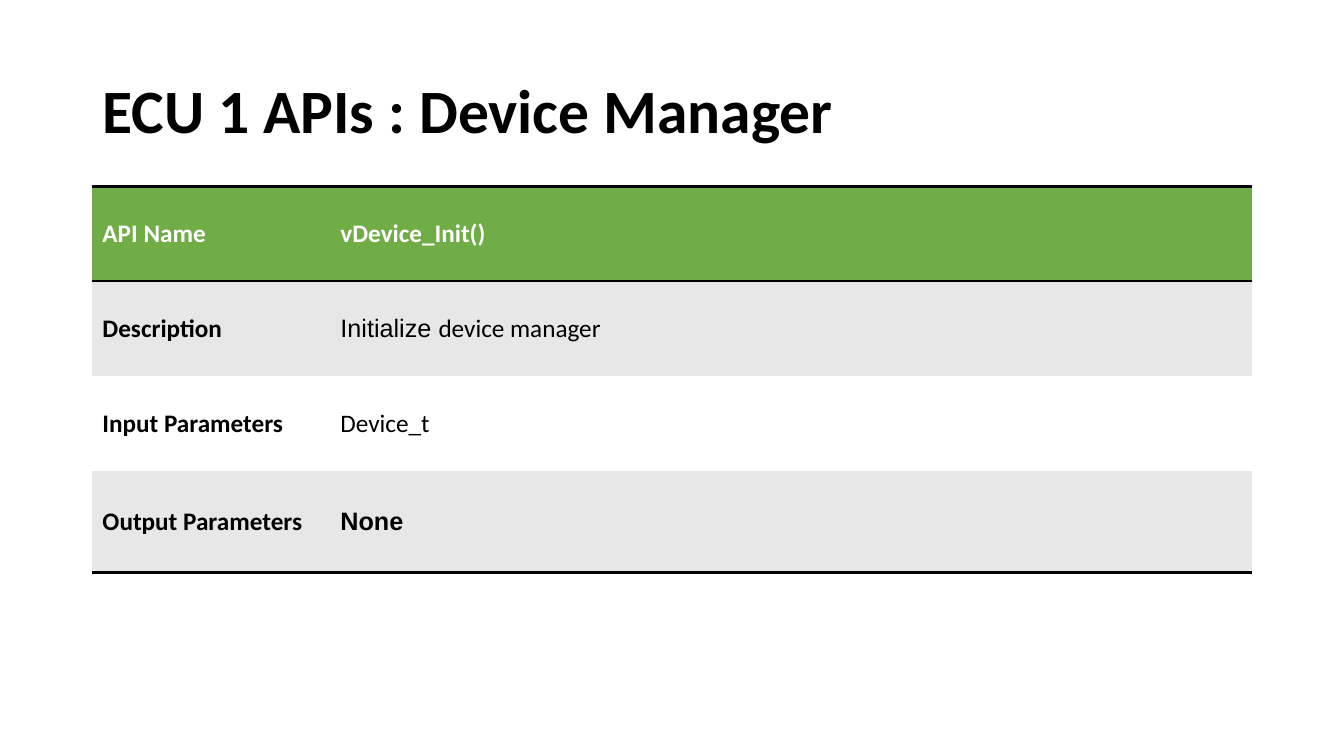
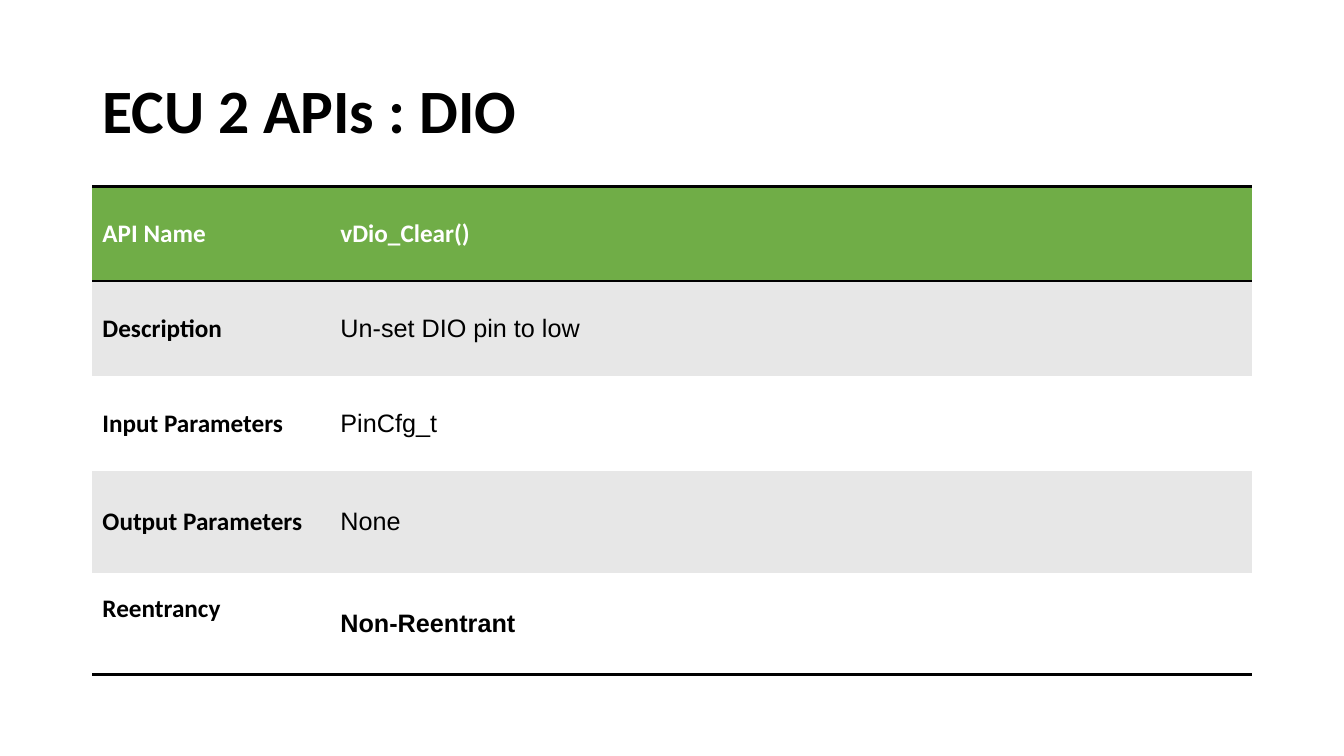
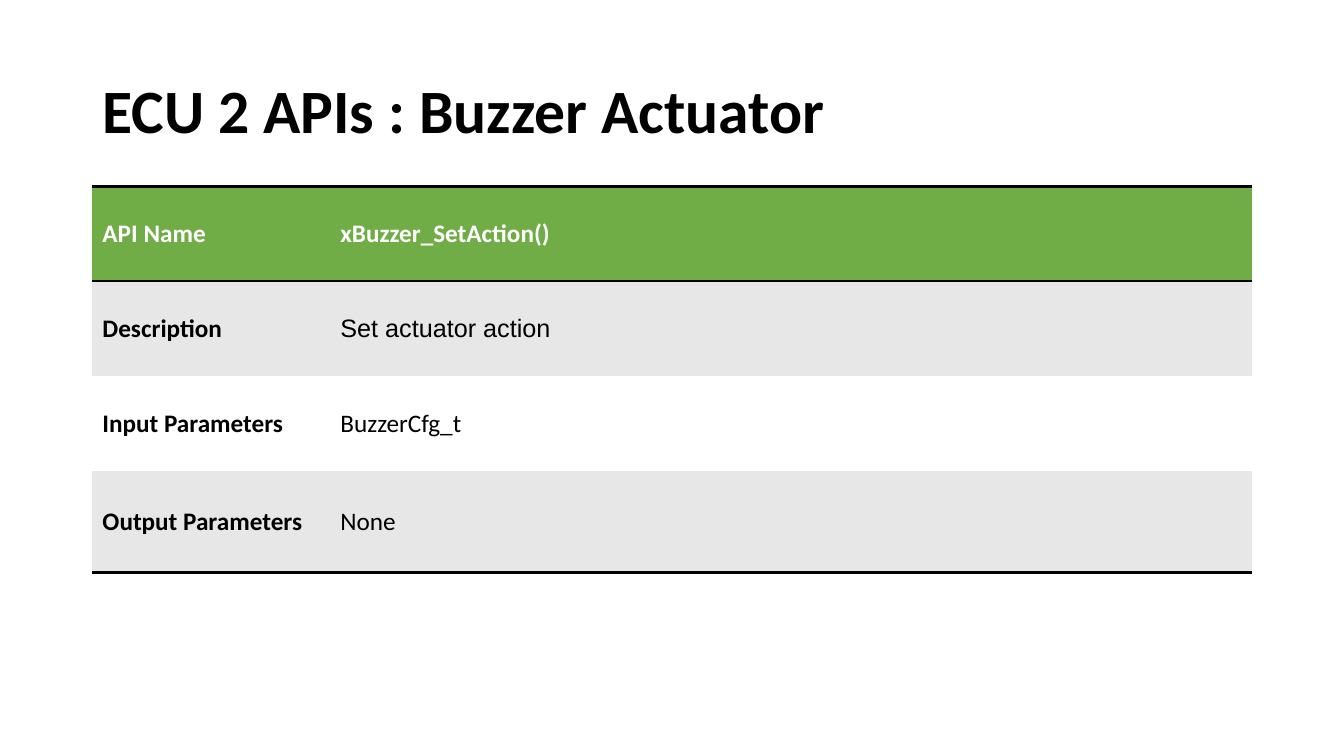
"""Build the API reference slides, one function table per slide."""
from pptx import Presentation
from pptx.dml.color import RGBColor
from pptx.enum.text import MSO_ANCHOR, MSO_AUTO_SIZE, PP_ALIGN
from pptx.oxml.ns import qn
from pptx.util import Pt
from lxml.etree import SubElement

COLORS = {"ink": "000000", "header": "70AD47", "band": "E7E7E7", "paper": "FFFFFF"}
HEADING, PLAIN = "Calibri", "Arial"
LEFT, WIDTH = 66, 828
TITLE_TOP, TABLE_TOP = 28.8, 133.2
LABEL_WIDTH = 170
ROW_HEIGHTS = [67.7, 67.7, 67.7, 72.7, 72.7]
LABELS = ["API Name", "Description", "Input Parameters", "Output Parameters", "Reentrancy"]

APIS = [
    ("ECU 1 APIs : Device Manager", [
        [("vDevice_Init()", HEADING, True)],
        [("Initialize ", PLAIN, False), ("device manager", HEADING, False)],
        [("Device_t", HEADING, False)],
        [("None", PLAIN, True)],
    ]),
    ("ECU 2 APIs : DIO", [
        [("vDio_Clear()", HEADING, True)],
        [("Un-set DIO pin to low", PLAIN, False)],
        [("PinCfg_t", PLAIN, False)],
        [("None", PLAIN, False)],
        [("Non-Reentrant", PLAIN, True)],
    ]),
    ("ECU 2 APIs : Buzzer Actuator", [
        [("xBuzzer_SetAction()", HEADING, True)],
        [("Set actuator action", PLAIN, False)],
        [("BuzzerCfg_t", HEADING, False)],
        [("None", HEADING, False)],
    ]),
]


def rgb(name):
    """Return the named palette colour."""
    return RGBColor.from_string(COLORS[name])


def style_font(font, size, face, bold, color):
    """Apply size, face, weight and colour to a font."""
    font.size, font.name, font.bold = Pt(size), face, bold
    font.color.rgb = rgb(color)


def add_title(slide, heading):
    """Place and format the slide title."""
    title = slide.shapes.title
    title.left, title.top = Pt(LEFT), Pt(TITLE_TOP)
    title.width, title.height = Pt(WIDTH), Pt(TABLE_TOP - TITLE_TOP)
    frame = title.text_frame
    frame.text = heading
    frame.auto_size = MSO_AUTO_SIZE.NONE
    frame.vertical_anchor = MSO_ANCHOR.MIDDLE
    paragraph = frame.paragraphs[0]
    paragraph.alignment = PP_ALIGN.LEFT
    paragraph.line_spacing = 0.9
    style_font(paragraph.font, 44, HEADING, True, "ink")


def set_borders(cell, ruled):
    """Draw black rules on the ruled edges and clear the other edges."""
    properties = cell._tc.get_or_add_tcPr()
    for edge in ("lnL", "lnR", "lnT", "lnB"):
        line = SubElement(properties, qn(f"a:{edge}"), w=str(int(Pt(2))))
        if edge in ruled:
            SubElement(SubElement(line, qn("a:solidFill")), qn("a:srgbClr"), val=COLORS["ink"])
        else:
            SubElement(line, qn("a:noFill"))


def fill_cell(cell, pieces, fill, color, ruled):
    """Write the text pieces of a cell and set its borders and fill."""
    cell.vertical_anchor = MSO_ANCHOR.MIDDLE
    paragraph = cell.text_frame.paragraphs[0]
    for text, face, bold in pieces:
        run = paragraph.add_run()
        run.text = text
        style_font(run.font if len(pieces) > 1 else paragraph.font, 18, face, bold, color)
    set_borders(cell, ruled)
    cell.fill.solid()
    cell.fill.fore_color.rgb = rgb(fill)


def add_api_table(slide, values):
    """Add the two-column table that describes one API function."""
    heights = ROW_HEIGHTS[:len(values)]
    table = slide.shapes.add_table(len(values), 2, Pt(LEFT), Pt(TABLE_TOP),
                                   Pt(WIDTH), Pt(sum(heights))).table
    table.first_row = False
    table.horz_banding = False
    table.columns[0].width = Pt(LABEL_WIDTH)
    table.columns[1].width = Pt(WIDTH - LABEL_WIDTH)
    for index, (label, value, height) in enumerate(zip(LABELS, values, heights)):
        table.rows[index].height = Pt(height)
        is_header = index == 0
        fill = "header" if is_header else "band" if index % 2 else "paper"
        color = "paper" if is_header else "ink"
        ruled = {"lnT"} if index < 2 else set()
        if index in (0, len(values) - 1):
            ruled.add("lnB")
        for column, pieces in enumerate([[(label, HEADING, True)], value]):
            fill_cell(table.cell(index, column), pieces, fill, color, ruled)
        if label == "Reentrancy":
            table.cell(index, 0).margin_bottom = Pt(25)


def main():
    """Build and save the presentation."""
    deck = Presentation()
    deck.slide_width, deck.slide_height = Pt(960), Pt(540)
    for heading, values in APIS:
        slide = deck.slides.add_slide(deck.slide_layouts[5])
        add_title(slide, heading)
        add_api_table(slide, values)
    deck.save("out.pptx")


if __name__ == "__main__":
    main()
